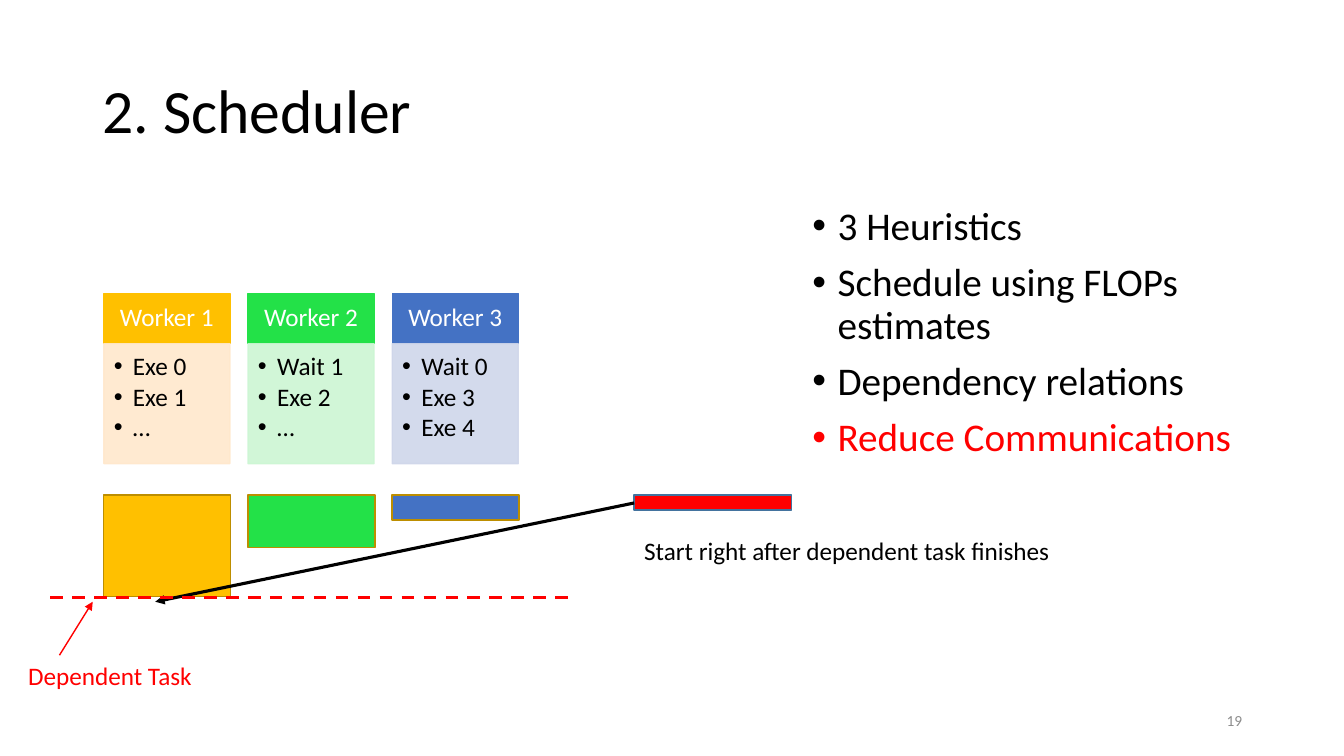
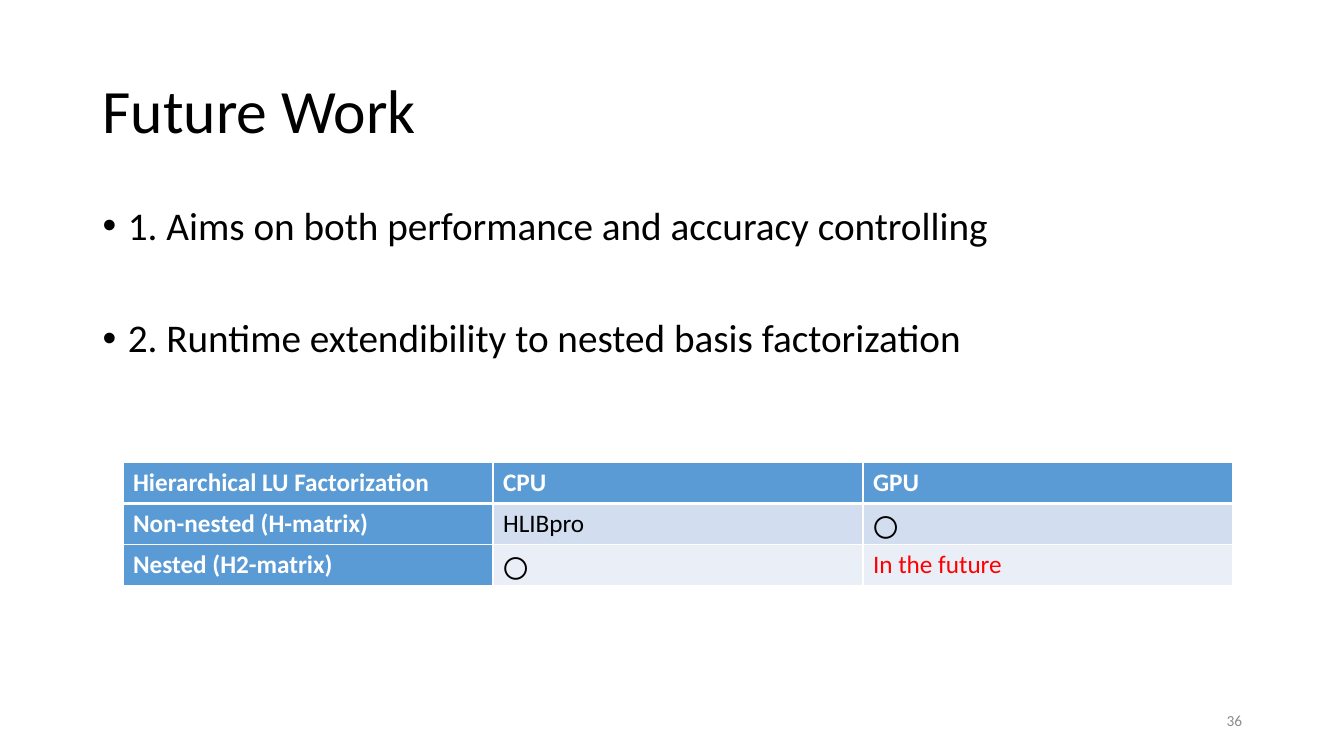
from lxml import etree
from pptx import Presentation
from pptx import util as u
from pptx.dml.color import RGBColor
from pptx.enum import dml, shapes, text
from pptx.oxml import ns

SCALE = 9144  # EMU per px, 100 px to the inch
FONT = "Calibri"
BLACK = RGBColor(0x00, 0x00, 0x00)
WHITE = RGBColor(0xFF, 0xFF, 0xFF)
RED = RGBColor(0xFF, 0x00, 0x00)
GREY = RGBColor(0x8C, 0x8C, 0x8C)
AMBER = RGBColor(0xFF, 0xC0, 0x00)
AMBER_PALE = RGBColor(0xFF, 0xE8, 0xCC)
AMBER_DARK = RGBColor(0xBD, 0x8E, 0x00)
GREEN = RGBColor(0x23, 0xE1, 0x48)
GREEN_PALE = RGBColor(0xCC, 0xF6, 0xD3)
BLUE = RGBColor(0x44, 0x72, 0xC4)
BLUE_PALE = RGBColor(0xCF, 0xD6, 0xEA)
BLUE_DARK = RGBColor(0x43, 0x73, 0x9E)
TABLE_BLUE = RGBColor(0x5B, 0x9B, 0xD5)
TABLE_BANDS = (RGBColor(0xD2, 0xDE, 0xEF), RGBColor(0xEA, 0xEF, 0xF7))

TITLE_BOX = (92, 40, 1150, 145)
NUMBER_BOX = (942, 695, 300, 40)
CENTRE, RIGHT = text.PP_ALIGN.CENTER, text.PP_ALIGN.RIGHT
MIDDLE = text.MSO_ANCHOR.MIDDLE

BODY_FORMAT = {"line_spacing": 0.9, "space_before": u.Pt(10)}
WORKER_FORMAT = {"line_spacing": 0.9, "space_after": u.Pt(2.4)}
WORKERS = (
    ("Worker 1", AMBER, AMBER_PALE, ("Exe 0", "Exe 1", "…"), 101),
    ("Worker 2", GREEN, GREEN_PALE, ("Wait 1", "Exe 2", "…"), 52),
    ("Worker 3", BLUE, BLUE_PALE, ("Wait 0", "Exe 3", "Exe 4"), 25),
)
FACTORIZATIONS = (
    ("Hierarchical LU Factorization", "CPU", "GPU"),
    ("Non-nested (H-matrix)", "HLIBpro", "〇"),
    ("Nested (H2-matrix)", "〇", "In the future"),
)


def px(*lengths):
    return [u.Emu(length * SCALE) for length in lengths]


def apply(target, formats):
    for name, value in formats.items():
        setattr(target, name, value)


def add_element(parent, tag, **attributes):
    return etree.SubElement(parent, ns.qn(tag), attributes)


def write_paragraph(paragraph, wording, size, color=BLACK, bold=False,
                    bullet_indent=0, **formats):
    apply(paragraph, formats)
    run = paragraph.add_run()
    run.text = wording
    apply(run.font, {"name": FONT, "size": u.Pt(size), "bold": bold})
    run.font.color.rgb = color
    if bullet_indent:
        properties = paragraph._p.get_or_add_pPr()
        properties.set("marL", str(bullet_indent * SCALE))
        properties.set("indent", str(-bullet_indent * SCALE))
        add_element(properties, "a:buFont", typeface="Arial")
        add_element(properties, "a:buChar", char="•")


def write_list(frame, items, size, **formats):
    """Write bullets; each item is its wording and its own overrides."""
    for index, (wording, overrides) in enumerate(items):
        paragraph = frame.add_paragraph() if index else frame.paragraphs[0]
        write_paragraph(paragraph, wording, size, **{**formats, **overrides})


def set_frame(frame, insets=(10, 5, 10, 5), anchor=text.MSO_ANCHOR.TOP):
    sides = ("margin_left", "margin_top", "margin_right", "margin_bottom")
    apply(frame, {"word_wrap": True, "vertical_anchor": anchor,
                  **dict(zip(sides, px(*insets)))})


def add_text(slide, box, wording=None, size=18, anchor=text.MSO_ANCHOR.TOP, **formats):
    frame = slide.shapes.add_textbox(*px(*box)).text_frame
    set_frame(frame, anchor=anchor)
    if wording:
        write_paragraph(frame.paragraphs[0], wording, size, **formats)
    return frame


def add_block(slide, box, fill, outline, opacity=100):
    block = slide.shapes.add_shape(shapes.MSO_SHAPE.RECTANGLE, *px(*box))
    block.shadow.inherit = False
    block.fill.solid()
    block.fill.fore_color.rgb = fill
    block.line.color.rgb = outline
    block.line.width = u.Pt(1)
    if opacity < 100:
        for color in block._element.spPr.iter(ns.qn("a:srgbClr")):
            add_element(color, "a:alpha", val=str(opacity * 1000))
    return block


def add_line(slide, start, end, color, width, arrow=False, dashed=False):
    line = slide.shapes.add_connector(
        shapes.MSO_CONNECTOR.STRAIGHT, *px(*start, *end))
    line.line.color.rgb = color
    line.line.width = u.Pt(width)
    if dashed:
        line.line.dash_style = dml.MSO_LINE.DASH
    if arrow:
        add_element(line.line._get_or_add_ln(), "a:tailEnd", type="triangle")
    add_element(line._element.spPr, "a:effectLst")


def add_base(presentation, title, number):
    """Add a slide with the shared title and slide number."""
    slide = presentation.slides.add_slide(presentation.slide_layouts[6])
    add_text(slide, TITLE_BOX, title, 44, MIDDLE, line_spacing=0.9)
    add_text(slide, NUMBER_BOX, number, 11, MIDDLE, color=GREY, alignment=RIGHT)
    return slide


def add_worker(slide, box, name, color, pale, tasks):
    left, top, width, height = box
    header_height = 50
    header = add_block(slide, (left, top, width, header_height), color, color)
    set_frame(header.text_frame, (14, 8, 14, 8), MIDDLE)
    write_paragraph(header.text_frame.paragraphs[0], name, 18, WHITE,
                    alignment=CENTRE, line_spacing=0.9)
    body = add_block(slide, (left, top + header_height, width, height - header_height),
                     pale, pale, opacity=90)
    set_frame(body.text_frame, (10, 10, 14, 16))
    write_list(body.text_frame, [(task, {}) for task in tasks], 18,
               bullet_indent=19, alignment=text.PP_ALIGN.LEFT, **WORKER_FORMAT)


def add_workers(slide, left, top):
    """Place the worker cards, with each worker's load bar below its card."""
    pitch, width, height, bar_top = 143, 125, 169, 200
    for index, (name, color, pale, tasks, load) in enumerate(WORKERS):
        x = left + index * pitch
        add_worker(slide, (x, top, width, height), name, color, pale, tasks)
        add_block(slide, (x, top + bar_top, width + 1, load), color, AMBER_DARK)


def add_dependency(slide, left, top):
    """Mark when the dependent task ends and the new task that follows it."""
    add_block(slide, (left + 611, top, 156, 15), RED, BLUE_DARK)
    add_text(slide, (left + 611, top + 35, 513, 40),
             "Start right after dependent task finishes")
    add_line(slide, (left + 611, top + 8), (left + 136, top + 106), BLACK, 2.25,
             arrow=True)
    add_line(slide, (left + 32, top + 102), (left + 550, top + 102), RED, 2.25,
             dashed=True)
    add_text(slide, (left, top + 159, 282, 40), "Dependent Task", color=RED)
    add_line(slide, (left + 41, top + 159), (left + 74, top + 106), RED, 1, arrow=True)


def add_scheduler_slide(presentation):
    slide = add_base(presentation, "2. Scheduler", "19")
    add_workers(slide, 103, 291)
    add_dependency(slide, 18, 491)
    heuristics = (
        ("3 Heuristics", {}),
        ("Schedule using FLOPs estimates", {}),
        ("Dependency relations", {}),
        ("Reduce Communications", {"color": RED}),
    )
    write_list(add_text(slide, (796, 200, 446, 476)), heuristics, 28,
               bullet_indent=25, **BODY_FORMAT)


def set_borders(cell, bottom_width):
    properties = cell._tc.get_or_add_tcPr()
    for index, side in enumerate("LRTB"):
        width = bottom_width if side == "B" else 1
        border = etree.Element(ns.qn(f"a:ln{side}"), w=str(u.Pt(width)))
        fill = add_element(border, "a:solidFill")
        add_element(fill, "a:srgbClr", val=str(WHITE))
        properties.insert(index, border)


def add_factorization_table(slide, box):
    rows, columns = len(FACTORIZATIONS), len(FACTORIZATIONS[0])
    table = slide.shapes.add_table(rows, columns, *px(*box)).table
    for row, wordings in enumerate(FACTORIZATIONS):
        for column, wording in enumerate(wordings):
            cell = table.cell(row, column)
            heading = row == 0 or column == 0
            planned = wording == "In the future"
            color = WHITE if heading else RED if planned else BLACK
            cell.fill.solid()
            cell.fill.fore_color.rgb = TABLE_BLUE if heading else TABLE_BANDS[row - 1]
            set_borders(cell, 3 if row == 0 else 1)
            write_paragraph(cell.text_frame.paragraphs[0], wording, 18, color,
                            bold=heading)


def add_future_slide(presentation):
    slide = add_base(presentation, "Future Work", "36")
    aims = (
        ("1. Aims on both performance and accuracy controlling", {}),
        ("2. Runtime extendibility to nested basis factorization",
         {"space_before": u.Pt(50)}),
    )
    write_list(add_text(slide, (92, 200, 1150, 476)), aims, 28,
               bullet_indent=25, **BODY_FORMAT)
    add_factorization_table(slide, (122, 459, 1101, 122))


def main():
    presentation = Presentation()
    presentation.slide_width, presentation.slide_height = px(1333, 750)
    add_scheduler_slide(presentation)
    add_future_slide(presentation)
    presentation.save("out.pptx")


if __name__ == "__main__":
    main()
